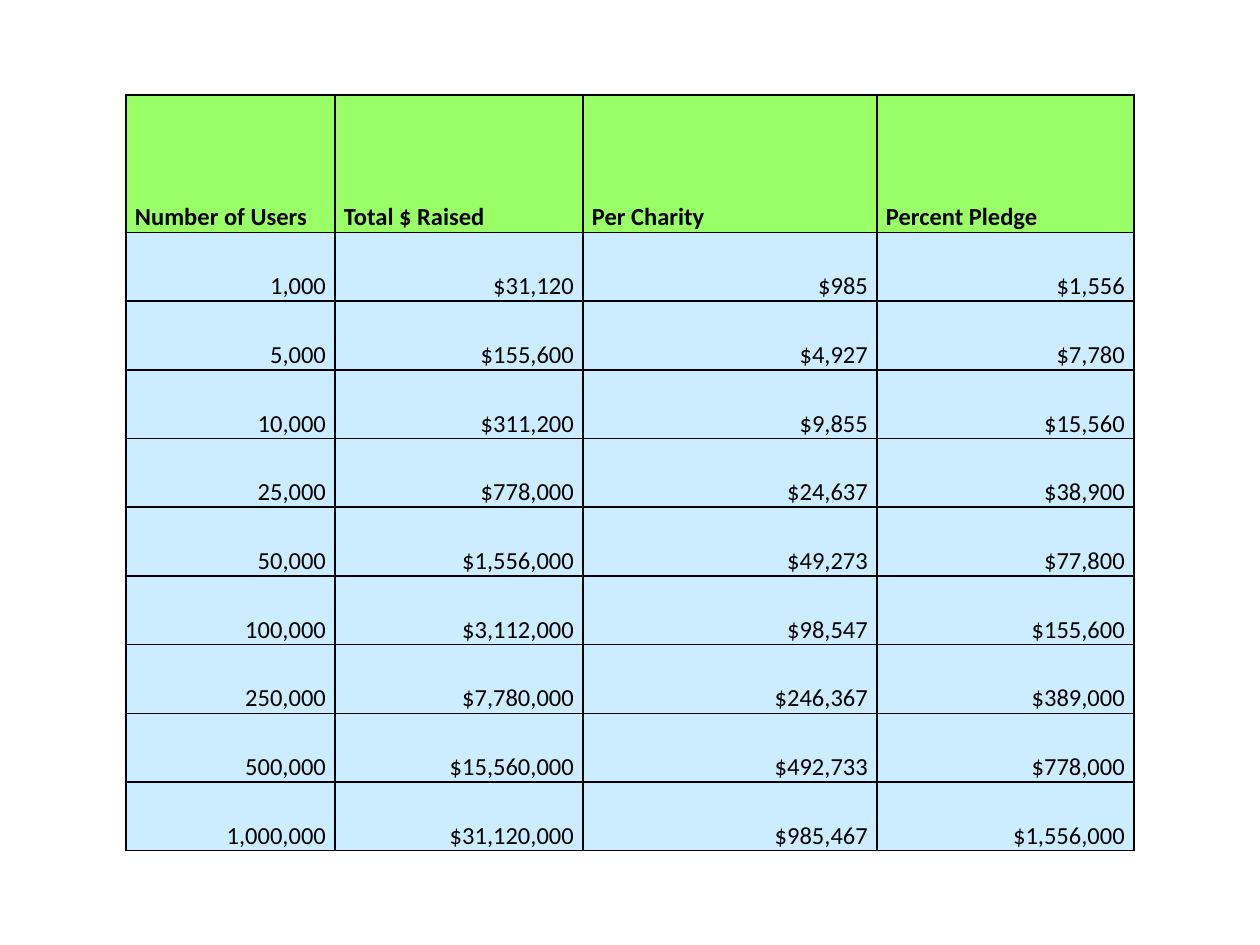
from dataclasses import astuple, dataclass

from lxml import etree
from pptx import Presentation
from pptx.dml.color import RGBColor
from pptx.enum.text import MSO_ANCHOR, PP_ALIGN
from pptx.oxml.ns import qn
from pptx.util import Emu, Pt

BOTTOM = MSO_ANCHOR.BOTTOM
LEFT, RIGHT = PP_ALIGN.LEFT, PP_ALIGN.RIGHT

PX_PER_INCH = 126
COLORS = {"header": "99FF66", "body": "CCECFF", "ink": "000000"}
FONT_NAME = "Calibri"
FONT_SIZE = Pt(14)
BORDER_WIDTH = Pt(1)
CELL_MARGIN = 9
COLUMN_WIDTHS = (209, 248, 294, 257)
TABLE_LEFT, TABLE_TOP, TABLE_HEIGHT = 126, 95, 756


@dataclass(frozen=True)
class FundraisingRow:
    users: str
    total_raised: str
    per_charity: str
    percent_pledge: str


@dataclass(frozen=True)
class CellStyle:
    fill: str
    bold: bool
    alignment: PP_ALIGN


HEADER_STYLE = CellStyle(COLORS["header"], True, LEFT)
BODY_STYLE = CellStyle(COLORS["body"], False, RIGHT)

ROWS = (
    FundraisingRow("Number of Users", "Total $ Raised", "Per Charity", "Percent Pledge"),
    FundraisingRow("1,000", "$31,120", "$985", "$1,556"),
    FundraisingRow("5,000", "$155,600", "$4,927", "$7,780"),
    FundraisingRow("10,000", "$311,200", "$9,855", "$15,560"),
    FundraisingRow("25,000", "$778,000", "$24,637", "$38,900"),
    FundraisingRow("50,000", "$1,556,000", "$49,273", "$77,800"),
    FundraisingRow("100,000", "$3,112,000", "$98,547", "$155,600"),
    FundraisingRow("250,000", "$7,780,000", "$246,367", "$389,000"),
    FundraisingRow("500,000", "$15,560,000", "$492,733", "$778,000"),
    FundraisingRow("1,000,000", "$31,120,000", "$985,467", "$1,556,000"),
)


def px(length: int) -> Emu:
    return Emu(length * 914400 // PX_PER_INCH)


def add_borders(cell) -> None:
    """Draw all four sides; must run before the cell fill is set."""
    properties = cell._tc.get_or_add_tcPr()
    for side in ("a:lnL", "a:lnR", "a:lnT", "a:lnB"):
        line = etree.SubElement(properties, qn(side), w=str(BORDER_WIDTH))
        fill = etree.SubElement(line, qn("a:solidFill"))
        etree.SubElement(fill, qn("a:srgbClr"), val=COLORS["ink"])


def fill_cell(cell, text: str, style: CellStyle) -> None:
    add_borders(cell)
    cell.fill.solid()
    cell.fill.fore_color.rgb = RGBColor.from_string(style.fill)
    cell.vertical_anchor = BOTTOM
    cell.margin_left = cell.margin_right = px(CELL_MARGIN)
    cell.margin_top = cell.margin_bottom = 0

    cell.text_frame.text = text
    paragraph = cell.text_frame.paragraphs[0]
    paragraph.alignment = style.alignment
    paragraph.line_spacing = 1.15
    font = paragraph.runs[0].font
    font.name = FONT_NAME
    font.size = FONT_SIZE
    font.bold = style.bold
    font.color.rgb = RGBColor.from_string(COLORS["ink"])


def add_fundraising_table(slide) -> None:
    table = slide.shapes.add_table(
        len(ROWS), len(COLUMN_WIDTHS), px(TABLE_LEFT), px(TABLE_TOP),
        px(sum(COLUMN_WIDTHS)), px(TABLE_HEIGHT),
    ).table
    table.horz_banding = False

    for column, width in zip(table.columns, COLUMN_WIDTHS):
        column.width = px(width)

    # The header is twice as tall as a body row
    row_height = px(TABLE_HEIGHT) // (len(ROWS) + 1)
    for index, (table_row, record) in enumerate(zip(table.rows, ROWS)):
        is_header = index == 0
        table_row.height = Emu(row_height * (2 if is_header else 1))
        style = HEADER_STYLE if is_header else BODY_STYLE
        for cell, text in zip(table_row.cells, astuple(record)):
            fill_cell(cell, text, style)


def main() -> None:
    # Slide
    presentation = Presentation()
    presentation.slide_width = px(1260)
    presentation.slide_height = px(945)
    slide = presentation.slides.add_slide(presentation.slide_layouts[6])

    # Table
    add_fundraising_table(slide)
    presentation.save("out.pptx")


if __name__ == "__main__":
    main()
